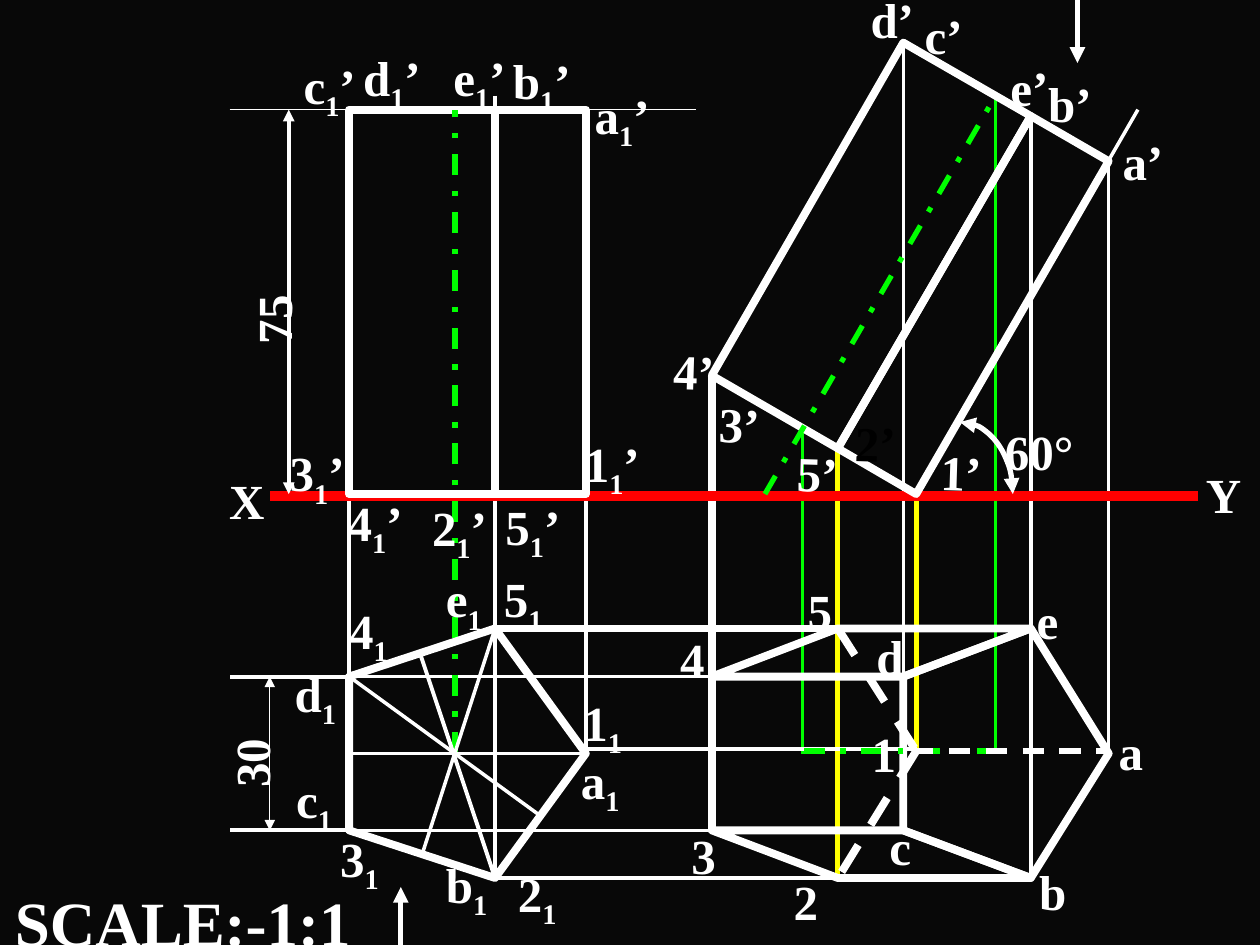
import dataclasses

import pptx
import pptx.dml.color
import pptx.enum.dml
import pptx.enum.shapes
import pptx.enum.text
import pptx.util
from lxml import etree
from pptx.oxml.ns import qn
from pptx.util import Cm

DASH = pptx.enum.dml.MSO_LINE.DASH
DASH_DOT = pptx.enum.dml.MSO_LINE.DASH_DOT


@dataclasses.dataclass(frozen=True)
class Theme:
    font: str = "Times New Roman"
    background: str = "080808"
    white: str = "FFFFFF"
    black: str = "000000"
    red: str = "FF0000"
    green: str = "00FF00"
    yellow: str = "FFFF00"
    label_size: int = 28
    title_size: int = 36
    hairline: float = 0
    thin: float = 0.75
    medium: float = 2.25
    axis: float = 3
    edge: float = 4.5
    ground: float = 6


THEME = Theme()


def color(value):
    return pptx.dml.color.RGBColor.from_string(value)


def style_line(shape, line_color, weight, dash=None, arrows=()):
    shape.line.color.rgb = color(line_color)
    shape.line.width = pptx.util.Pt(weight)
    if dash is not None:
        shape.line.dash_style = dash
    outline = shape.line._get_or_add_ln()
    for end in arrows:
        etree.SubElement(outline, qn(f"a:{end}"), type="triangle")


@dataclasses.dataclass(frozen=True)
class Box:
    slide: object
    left: float
    top: float
    width: float
    height: float

    def place(self, point):
        return Cm(self.left + point[0]), Cm(self.top + point[1])

    def line(self, start, end, weight, line_color=THEME.white, dash=None, arrows=()):
        straight = pptx.enum.shapes.MSO_CONNECTOR.STRAIGHT
        connector = self.slide.shapes.add_connector(
            straight, *self.place(start), *self.place(end))
        style_line(connector, line_color, weight, dash, arrows)
        etree.SubElement(connector._element.spPr, qn("a:effectLst"))

    def outline(self, *points):
        start, *others = [self.place(point) for point in points]
        builder = self.slide.shapes.build_freeform(*start, scale=1.0)
        builder.add_line_segments(others, close=True)
        shape = builder.convert_to_shape()
        shape.shadow.inherit = False
        shape.fill.background()
        style_line(shape, THEME.white, THEME.edge)

    def label(self, text, x, y, width, rotation=0, size=THEME.label_size,
              text_color=THEME.white):
        shape = self.slide.shapes.add_textbox(
            *self.place((x, y)), Cm(width), Cm(size * 0.05))
        shape.rotation = rotation
        frame = shape.text_frame
        frame.word_wrap = True
        frame.margin_top = Cm(0.22)
        paragraph = frame.paragraphs[0]
        main, _, rest = text.partition("_")
        for part, subscript in ((main, False), (rest[:1], True), (rest[1:], False)):
            if part:
                run = paragraph.add_run()
                run.text = part
                if subscript:
                    run._r.get_or_add_rPr().set("baseline", "-25000")
        paragraph.font.name = THEME.font
        paragraph.font.size = pptx.util.Pt(size)
        paragraph.font.bold = True
        paragraph.font.color.rgb = color(text_color)

    def labels(self, width, entries):
        for text, x, y in entries:
            self.label(text, x, y, width)

    def vertical_dimension(self, text, x, top, bottom, weight, text_x, text_y):
        self.line((x, top), (x, bottom), weight, arrows=("headEnd", "tailEnd"))
        self.label(text, text_x, text_y, 2.2, rotation=270)


def draw_projectors(front, plan, tilted, tilted_plan):
    slide = front.slide
    page = Box(slide, 0, 0, 25.4, 19.05)
    for x, top, bottom in ((0, 0, 4.07), (2.94, -0.28, 5.03), (4.77, 0, 2.52)):
        page.line((plan.left + x, front.top + top),
                  (plan.left + x, plan.top + bottom), THEME.medium)
    for x, top, bottom, line_color, weight in (
            (0, 6.71, 4.07, THEME.white, THEME.edge),
            (1.83, 7.77, 2.52, THEME.green, THEME.hairline),
            (2.54, 8.18, 5.03, THEME.yellow, THEME.axis),
            (3.86, 0, 4.07, THEME.white, THEME.hairline),
            (4.12, 9.1, 2.52, THEME.yellow, THEME.axis),
            (5.72, 1.07, 2.52, THEME.green, THEME.hairline),
            (6.43, 1.48, 5.03, THEME.white, THEME.hairline),
            (8, 2.39, 2.52, THEME.white, THEME.hairline)):
        page.line((tilted.left + x, tilted.top + top),
                  (tilted.left + x, tilted_plan.top + bottom), weight, line_color)
    for y, start, end, weight in (
            (0, 2.94, 6.43, THEME.edge), (0.97, 0, 3.86, THEME.hairline),
            (2.42, 4.7, 4.14, THEME.medium), (4.07, 0, 3.86, THEME.hairline),
            (5.03, 2.94, 6.43, THEME.hairline)):
        page.line((plan.left + start, plan.top + y),
                  (tilted_plan.left + end, plan.top + y), weight)


def draw_ground_line(box):
    box.line((0, 0), (box.width, 0), THEME.ground, THEME.red)
    box.label("X", -1.07, -0.74, 1.45)
    box.label("Y", box.width - 0.1, -0.86, 1.45)


def draw_front_view(box):
    box.line((-2.41, 0), (6.99, 0), THEME.thin)
    box.outline((0, 0), (2.94, 0), (2.94, box.height), (0, box.height))
    box.outline((2.94, 0), (box.width, 0), (box.width, box.height), (2.94, box.height))
    box.line((2.13, 12.98), (2.13, 0), THEME.axis, THEME.green, DASH_DOT)
    box.vertical_dimension("75", -1.22, 0, box.height, THEME.medium, -2.76, 3.18)
    box.labels(2.5, (
        ("c_1’", -1.17, -1.32), ("d_1’", 0.03, -1.47), ("e_1’", 1.85, -1.47),
        ("b_1’", 3.05, -1.42), ("a_1’", 4.7, -0.71), ("3_1’", -1.45, 6.5),
        ("2_1’", 1.42, 7.59), ("1_1’", 4.5, 6.3), ("5_1’", 2.9, 7.57),
        ("4_1’", -0.28, 7.49)))


def draw_plan(box):
    d, c, b, a, e = (0, 0.97), (0, 4.07), (2.94, 5.03), (4.77, 2.52), (2.94, 0)
    box.outline(d, c, b, a, e)
    for start, end in ((a, (0, 2.52)), (e, (1.47, 4.55)), (d, (3.86, 3.78))):
        box.line(start, end, THEME.hairline)
    box.line(b, (1.42, 0.48), THEME.medium)
    for y in (d[1], c[1]):
        box.line((0, y), (-2.41, y), THEME.medium)
    box.vertical_dimension("30", -1.6, d[1], c[1], THEME.thin, -3.2, 1.66)
    box.labels(1.6, (
        ("1_1", 4.47, 1.07), ("5_1", 2.87, -1.42), ("4_1", -0.25, -0.79),
        ("2_1", 3.15, 4.52), ("3_1", -0.43, 3.81), ("a_1", 4.42, 2.24),
        ("d_1", -1.35, 0.48), ("c_1", -1.32, 2.62), ("b_1", 1.7, 4.34),
        ("e_1", 1.7, -1.42)))


def draw_tilted_view(box):
    four, five, one = (0, 6.71), (2.54, 8.18), (4.12, box.height)
    d, e, a = (3.86, 0), (6.43, 1.48), (box.width, 2.39)
    box.line(one, (8.59, 1.35), THEME.hairline)
    box.outline(five, e, d, four)
    box.line((1.07, box.height), (5.72, 1.07), THEME.axis, THEME.green, DASH_DOT)
    box.outline(one, a, e, five)
    arc = box.slide.shapes.add_shape(
        pptx.enum.shapes.MSO_SHAPE.ARC, *box.place((3.94, 7.65)), Cm(2.13), Cm(2.9))
    arc.shadow.inherit = False
    arc.fill.background()
    style_line(arc, THEME.white, THEME.axis, arrows=("headEnd", "tailEnd"))
    box.labels(2.5, (
        ("c’", 4.04, -0.97), ("d’", 2.95, -1.3), ("b’", 6.53, 0.41),
        ("e’", 5.77, 0.08), ("a’", 8.03, 1.57), ("60°", 5.66, 7.42)))
    for text, x, y, text_color in (
            ("1’", 4.37, 7.85, THEME.white), ("2’", 2.64, 7.26, THEME.black),
            ("5’", 1.47, 7.87, THEME.white), ("4’", -1.02, 5.82, THEME.white),
            ("3’", -0.1, 6.88, THEME.white)):
        box.label(text, x, y, 2.5, rotation=1.7, text_color=text_color)


def draw_tilted_plan(box):
    four, three, five, two = (0, 0.97), (0, 4.07), (2.54, 0), (2.54, 5.03)
    d, c, b, e = (3.86, 0.97), (3.86, 4.07), (6.43, 5.03), (6.43, 0)
    one, a = (4.12, 2.47), (box.width, 2.52)
    box.outline(a, b, c, d, e)
    box.outline(four, d, e, five)
    box.outline(three, c, b, two)
    box.line((5.77, 2.47), (1.85, 2.47), THEME.axis, THEME.green, DASH_DOT)
    box.line(five, one, THEME.edge, dash=DASH)
    box.line(one, two, THEME.edge, dash=DASH)
    box.line((4.04, 2.47), (7.95, 2.47), THEME.axis, dash=DASH)
    box.labels(1.4, (
        ("4", -0.89, -0.2), ("5", 1.68, -1.19), ("3", -0.66, 3.76),
        ("2", 1.4, 4.67), ("1", 2.97, 1.7), ("a", 7.95, 1.65),
        ("b", 6.35, 4.47), ("e", 6.3, -0.99), ("d", 3.07, -0.25),
        ("c", 3.33, 3.58)))


def draw_page_marks(box):
    box.line((21.72, 0), (21.72, 1.27), THEME.axis, arrows=("tailEnd",))
    box.line((8.08, box.height), (8.08, 17.88), THEME.axis, arrows=("tailEnd",))
    box.label("SCALE:-1:1", 0.05, 17.6, 7.5, size=THEME.title_size)


def main():
    presentation = pptx.Presentation()
    presentation.slide_width = Cm(25.4)
    presentation.slide_height = Cm(19.05)
    slide = presentation.slides.add_slide(presentation.slide_layouts[6])
    slide.background.fill.solid()
    slide.background.fill.fore_color.rgb = color(THEME.background)
    front = Box(slide, 7.04, 2.21, 4.77, 7.75)
    plan = Box(slide, 7.04, 12.67, 4.77, 5.03)
    tilted = Box(slide, 14.35, 0.86, 8, 9.1)
    tilted_plan = Box(slide, 14.35, 12.67, 8, 5.03)
    draw_projectors(front, plan, tilted, tilted_plan)
    draw_ground_line(Box(slide, 5.44, 10, 18.72, 0))
    draw_front_view(front)
    draw_plan(plan)
    draw_tilted_view(tilted)
    draw_tilted_plan(tilted_plan)
    draw_page_marks(Box(slide, 0, 0, 25.4, 19.05))
    presentation.save("out.pptx")


if __name__ == "__main__":
    main()
